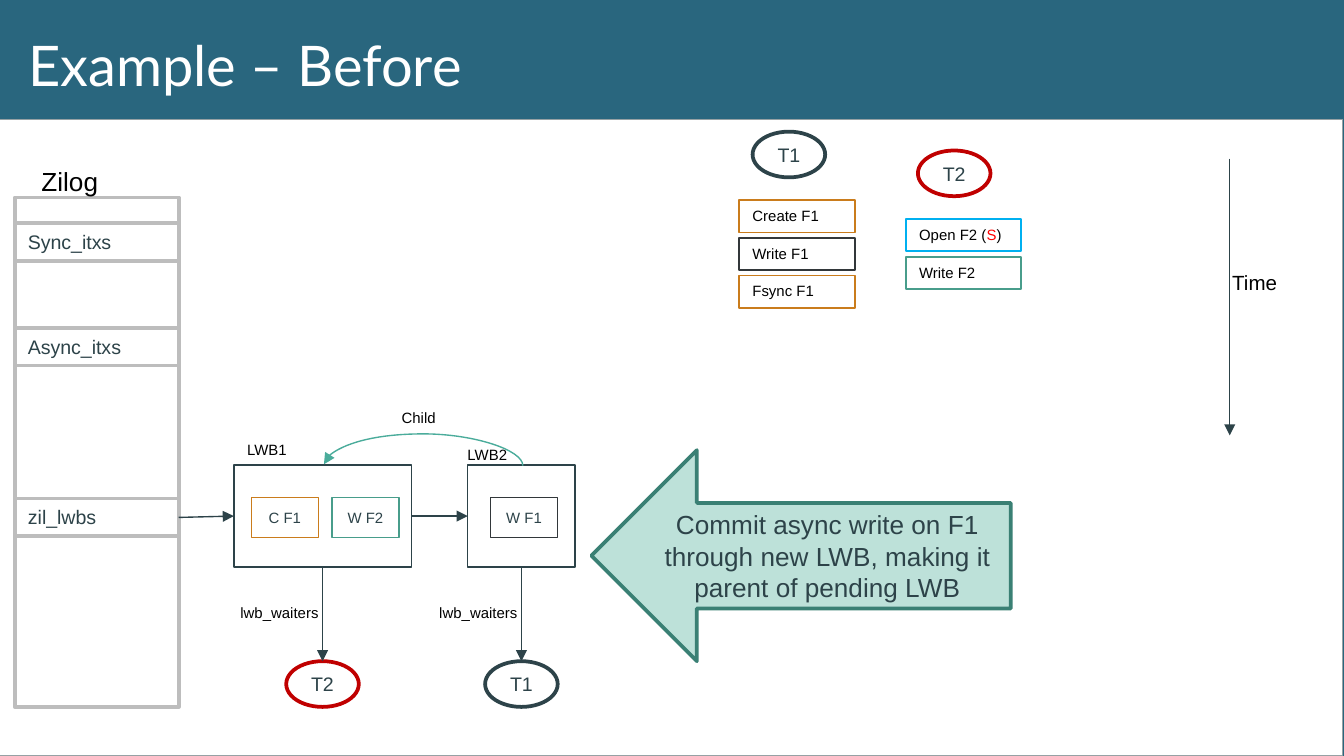
from lxml import etree
from pptx import Presentation
from pptx.dml.color import RGBColor
from pptx.enum.shapes import MSO_CONNECTOR, MSO_SHAPE
from pptx.enum.text import MSO_ANCHOR, PP_ALIGN
from pptx.oxml.ns import qn
from pptx.util import Inches, Pt

RECT, OVAL, ARROW = MSO_SHAPE.RECTANGLE, MSO_SHAPE.OVAL, MSO_SHAPE.LEFT_ARROW
STRAIGHT, CURVE = MSO_CONNECTOR.STRAIGHT, MSO_CONNECTOR.CURVE
TOP, MIDDLE = MSO_ANCHOR.TOP, MSO_ANCHOR.MIDDLE
LEFT, CENTER = PP_ALIGN.LEFT, PP_ALIGN.CENTER
TOP_SITE, LEFT_SITE, BOTTOM_SITE, RIGHT_SITE = range(4)

COLORS = {
    "header": "29667E", "white": "FFFFFF", "border": "96A1A4",
    "gray": "BDBDBD", "slate": "2D4349", "black": "000000",
    "charcoal": "32373A", "orange": "CA7C1C", "teal": "489D8B",
    "curve": "4AAC9B", "blue": "00B0F0", "dark_red": "C00000",
    "red": "FF0000", "mint": "BDE1D9", "green": "3A8074",
}


def rgb(name):
    return RGBColor.from_string(COLORS[name])


def style_text(sp, parts, size, color, align=LEFT, anchor=TOP):
    """Write (text, color) parts as the runs of one paragraph."""
    tf = sp.text_frame
    tf.word_wrap = True
    tf.vertical_anchor = anchor
    p = tf.paragraphs[0]
    p.alignment = align
    for text, run_color in parts:
        r = p.add_run()
        r.text = text
        r.font.size = Pt(size)
        r.font.name = "Arial"
        r.font.color.rgb = rgb(run_color or color)


def add_box(s, kind, x, y, w, h, line, width, fill="white"):
    sp = s.shapes.add_shape(kind, Inches(x), Inches(y), Inches(w), Inches(h))
    sp.shadow.inherit = False
    if fill:
        sp.fill.solid()
        sp.fill.fore_color.rgb = rgb(fill)
    else:
        sp.fill.background()
    sp.line.color.rgb = rgb(line)
    sp.line.width = Pt(width)
    return sp


def add_label(s, x, y, w, h, text, size=8):
    sp = s.shapes.add_textbox(Inches(x), Inches(y), Inches(w), Inches(h))
    style_text(sp, [(text, None)], size, "black")


def add_node(s, kind, x, y, w, h, text, size, line, width):
    """Centred label in a small shape without insets."""
    sp = add_box(s, kind, x, y, w, h, line, width)
    style_text(sp, [(text, None)], size, "slate", CENTER, MIDDLE)
    tf = sp.text_frame
    tf.margin_left = tf.margin_right = tf.margin_top = tf.margin_bottom = 0
    return sp


def add_thread(s, x, y, text, line):
    return add_node(s, OVAL, x, y, 0.54, 0.34, text, 10.5, line, 2)


def add_arrow(s, kind, x1, y1, x2, y2, color="slate"):
    cx = s.shapes.add_connector(kind, Inches(x1), Inches(y1), Inches(x2), Inches(y2))
    cx.line.color.rgb = rgb(color)
    cx.line.width = Pt(0.75)
    etree.SubElement(cx.line._get_or_add_ln(), qn("a:tailEnd"), type="triangle")
    etree.SubElement(cx._element.spPr, qn("a:effectLst"))
    return cx


def join(s, start, start_site, end, end_site):
    cx = add_arrow(s, STRAIGHT, 0, 0, 1, 1)
    cx.begin_connect(start, start_site)
    cx.end_connect(end, end_site)


def add_child_arc(s, x, y, w, rise):
    """Arc rising from the right end and falling on the left end."""
    depth = 0.01
    cx = add_arrow(s, CURVE, 0, 0, 1, 1, "curve")
    cx.left, cx.top = Inches(x + (w - depth) / 2), Inches(y - w / 2)
    cx.width, cx.height = Inches(depth), Inches(w)
    xfrm = cx._element.spPr.find(qn("a:xfrm"))
    xfrm.set("rot", "16200000")
    xfrm.set("flipV", "1")
    geom = cx._element.spPr.find(qn("a:prstGeom"))
    guides = geom.find(qn("a:avLst"))
    if guides is None:
        guides = etree.SubElement(geom, qn("a:avLst"))
    ratio = round(rise / depth * 100000)
    etree.SubElement(guides, qn("a:gd"), name="adj1", fmla=f"val {ratio}")


def add_title(s, x, y, w, h):
    title = s.shapes.title
    title.left, title.top, title.width, title.height = map(Inches, (x, y, w, h))
    tf = title.text_frame
    tf.text = "Example – Before"
    tf.vertical_anchor = TOP
    tf.margin_left = tf.margin_right = tf.margin_top = tf.margin_bottom = Inches(0.1)
    p = tf.paragraphs[0]
    p.alignment = LEFT
    r = p.runs[0]
    r.font.name = "Lato"
    r.font.size = Pt(30)
    r.font.color.rgb = rgb("white")


def add_zilog(s, x, y, w, h):
    """Log column; returns the zil_lwbs row."""
    add_box(s, RECT, x, y, w, h, "gray", 2)
    add_label(s, x + 0.1, y - 0.29, 1.02, 0.34, "Zilog", 14)
    for text, dy in (("Sync_itxs", 0.19), ("Async_itxs", 0.97), ("zil_lwbs", 2.24)):
        row = add_box(s, RECT, x, y + dy, w, 0.28, "gray", 2)
        style_text(row, [(text, None)], 10.5, "slate")
    return row


def add_operations(s, x, y, thread, line, dx, operations):
    """Thread ellipse above its stack of operations."""
    add_thread(s, x + dx, y, thread, line)
    for i, (parts, color) in enumerate(operations):
        sp = add_box(s, RECT, x, y + 0.51 + 0.28 * i, 0.86, 0.24, color, 1, None)
        style_text(sp, parts, 8, "black")


def add_lwb(s, x, y, w, name, name_dx, name_dy, writes, thread, line):
    """Log write block with its writes and waiting thread."""
    h = 0.76
    block = add_box(s, RECT, x, y, w, h, "slate", 0.75)
    add_label(s, x + name_dx, y + name_dy, 0.59, 0.24, name)
    for text, dx, color in writes:
        add_node(s, RECT, x + dx, y + 0.24, 0.5, 0.3, text, 8, color, 0.75)
    waiter = add_thread(s, x + w / 2 - 0.27, y + 1.46, thread, line)
    join(s, block, BOTTOM_SITE, waiter, TOP_SITE)
    add_label(s, x + w / 2 - 0.71, y + 0.98, 0.97, 0.24, "lwb_waiters")
    return block


def add_timeline(s, x, y, h):
    add_arrow(s, STRAIGHT, x, y, x, y + h)
    add_label(s, x - 0.08, y + 0.78, 0.63, 0.29, "Time", 11)


def add_callout(s, x, y, w, h):
    sp = add_box(s, ARROW, x, y, w, h, "green", 2, "mint")
    text = "Commit async write on F1 through new LWB, making it parent of pending LWB"
    style_text(sp, [(text, None)], 14, "slate", CENTER, MIDDLE)


def main():
    prs = Presentation()
    # Widescreen, 16:9
    prs.slide_width = Inches(10)
    prs.slide_height = prs.slide_width * 9 // 16
    s = prs.slides.add_slide(prs.slide_layouts[5])
    s.background.fill.solid()
    s.background.fill.fore_color.rgb = rgb("header")

    # Header and white body
    add_box(s, RECT, -0.08, 0.89, 10.07, 4.73, "border", 0.75)
    add_title(s, 0.11, 0.13, 6.55, 0.63)

    # Threads and time axis
    add_operations(s, 5.5, 0.98, "T1", "slate", 0.1, [
        ([("Create F1", None)], "orange"),
        ([("Write F1", None)], "charcoal"),
        ([("Fsync F1", None)], "orange")])
    add_operations(s, 6.74, 1.12, "T2", "dark_red", 0.09, [
        ([("Open F2 (", None), ("S", "red"), (")", None)], "blue"),
        ([("Write F2", None)], "teal")])
    add_timeline(s, 9.15, 1.18, 2.06)

    # Log and its chain of write blocks
    lwbs_row = add_zilog(s, 0.11, 1.47, 1.22, 3.79)
    lwb1 = add_lwb(s, 1.74, 3.46, 1.32, "LWB1", 0, -0.23,
                   [("C F1", 0.13, "orange"), ("W F2", 0.73, "teal")], "T2", "dark_red")
    lwb2 = add_lwb(s, 3.48, 3.46, 0.8, "LWB2", -0.1, -0.19,
                   [("W F1", 0.17, "charcoal")], "T1", "slate")
    join(s, lwbs_row, RIGHT_SITE, lwb1, LEFT_SITE)
    join(s, lwb1, RIGHT_SITE, lwb2, LEFT_SITE)
    add_child_arc(s, 2.41, 3.46, 1.48, 0.24)
    add_label(s, 2.89, 2.99, 0.67, 0.24, "Child")

    add_callout(s, 4.4, 3.35, 3.12, 1.57)
    prs.save("out.pptx")


if __name__ == "__main__":
    main()
